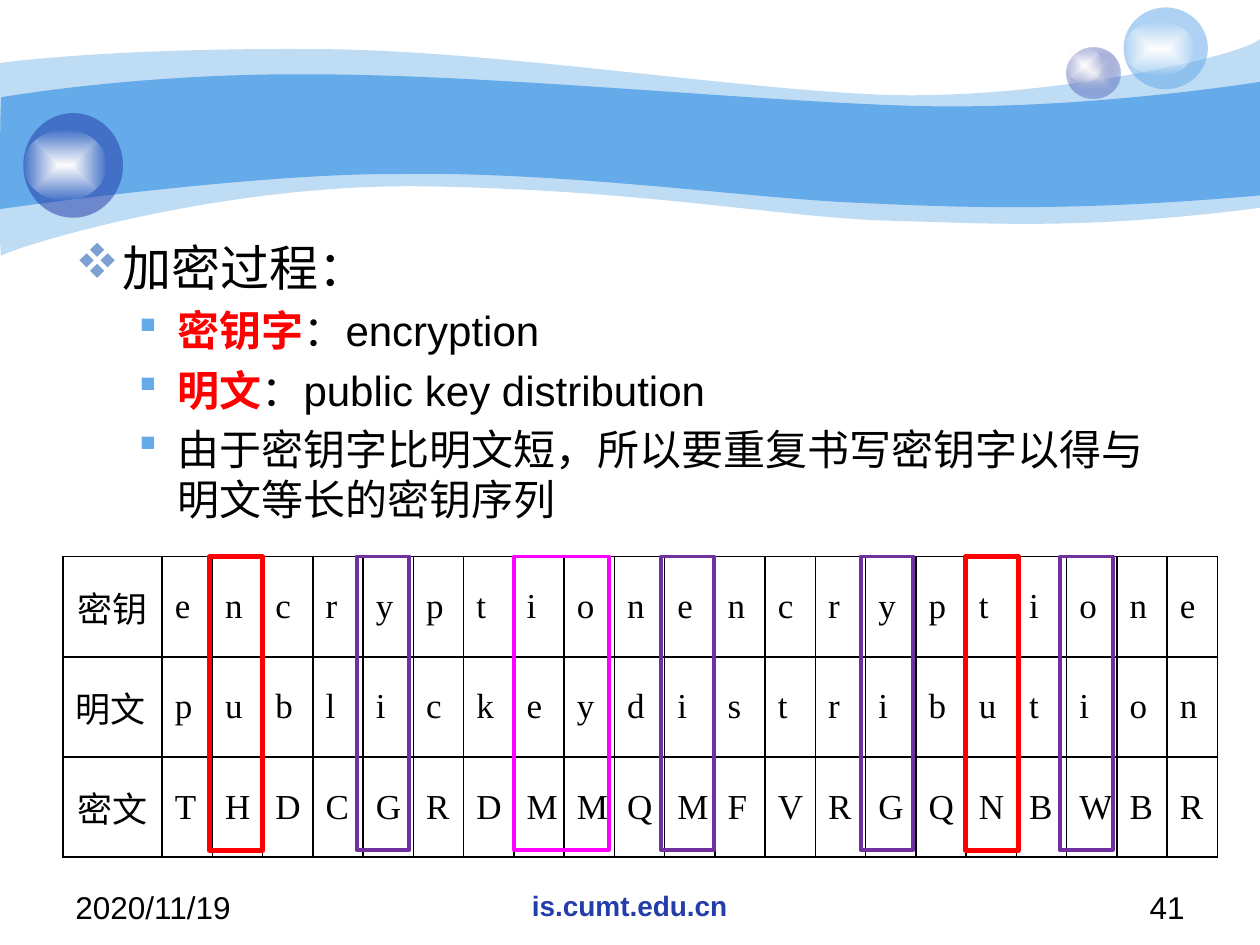
"""Build the slide on the running-key encryption process."""
import pptx
import pptx.dml.color
import pptx.enum.shapes
import pptx.enum.text
import pptx.oxml
import pptx.oxml.ns
import pptx.util

Cm = pptx.util.Cm
Pt = pptx.util.Pt
RGBColor = pptx.dml.color.RGBColor
Align = pptx.enum.text.PP_ALIGN
Shape = pptx.enum.shapes.MSO_SHAPE

BLACK = RGBColor(0x00, 0x00, 0x00)
WHITE = RGBColor(0xFF, 0xFF, 0xFF)
SKY = RGBColor(0x65, 0xAA, 0xE9)
NAVY = RGBColor(0x23, 0x3D, 0xA9)
STEEL = RGBColor(0x7D, 0xA0, 0xD3)
MIST = RGBColor(0xE1, 0xE2, 0xED)
RED = RGBColor(0xFF, 0x00, 0x00)
PURPLE = RGBColor(0x70, 0x30, 0xA0)
MAGENTA = RGBColor(0xFF, 0x00, 0xFF)

WAVES = [
    (41, (0, 1.27), [
        [(0.61, 1.19), (2.72, 0.97), (6.27, 0.99)],
        [(9.8, 0.99), (14.61, 1.78), (17.75, 1.91)],
        [(20.88, 2.03), (24.89, 1.19), (25.4, 0.79)],
        [(25.4, 4.19)],
        [(21.79, 4.65), (19.99, 4.5), (17.91, 4.45)],
        [(15.8, 4.39), (13.08, 3.84), (8.71, 3.76)],
        [(4.37, 3.66), (0.1, 5.05), (0.03, 5.16)],
        [(-0.03, 5.28), (0, 1.91), (0, 1.27)]]),
    (100, (0.03, 1.96), [
        [(0.05, 1.96), (2.79, 1.47), (6.3, 1.5)],
        [(9.8, 1.5), (15.11, 2.03), (18.24, 2.13)],
        [(21.36, 2.24), (24.79, 1.75), (25.4, 1.65)],
        [(25.4, 3.94)],
        [(21.67, 4.27), (19.43, 4.19), (17.32, 4.09)],
        [(15.19, 4.01), (11.35, 3.45), (8.05, 3.51)],
        [(5.16, 3.48), (-0.05, 4.22), (-0.03, 4.22)],
        [(0, 4.22), (0, 1.96), (0.03, 1.96)]]),
]
GLOSS = [(WHITE, 100), (WHITE, 0)]
BUBBLES = [
    ((21.51, 0.97, 1.07, 1.02), [(MIST, 100), (NAVY, 31)], (21.51, 0.97, 0.71, 0.69)),
    ((22.65, 0.15, 1.7, 1.65), [(SKY, 53)], (22.65, 0.43, 1.42, 1.09)),
    ((0.47, 2.28, 2.01, 2.11), [(NAVY, 53)], (0.47, 2.62, 1.68, 1.42)),
]
BODY = [
    (0, [("加密过程：", BLACK, False)]),
    (1, [("密钥字", RED, True), ("：encryption", BLACK, False)]),
    (1, [("明文", RED, True), ("：public key distribution", BLACK, False)]),
    (1, [("由于密钥字比明文短，所以要重复书写密钥字以得与明文等长的密钥序列", BLACK, False)]),
]
LEVELS = [
    dict(size=28, margin=0.95, indent=-0.95, bullet=("v", STEEL)),
    dict(size=24, margin=2.06, indent=-0.79, bullet=("§", SKY)),
]
FOOTERS = [
    ("2020/11/19", 1.27, 5.92, dict(size=18)),
    ("is.cumt.edu.cn", 8.67, 8.05, dict(size=16, color=NAVY, bold=True, align=Align.CENTER)),
    ("41", 18.21, 5.92, dict(size=18, align=Align.RIGHT)),
]
CIPHER_ROWS = [
    ("密钥", Align.CENTER, "encryptionencryptione"),
    ("明文", Align.LEFT, "publickeydistribution"),
    ("密文", Align.CENTER, "THDCGRDMMQMFVRGQNBWBR"),
]
TABLE_TOP, TABLE_WIDTH, LABEL_WIDTH, ROW_HEIGHT = 11.22, 23.29, 2, 2.02
MARKERS = [
    (RED, 3, 1.06, [4.23, 19.47]),
    (PURPLE, 2.25, 1.06, [17.35, 13.33, 7.19, 21.37]),
    (MAGENTA, 2.25, 1.9, [10.37]),
]


def element(xml):
    """Parse a fragment in the drawing namespace."""
    return pptx.oxml.parse_xml(xml.replace(">", f" {pptx.oxml.ns.nsdecls('a')}>", 1))


def solid_xml(color, opacity=100):
    """Return a solid fill."""
    alpha = f'<a:alpha val="{opacity * 1000}"/>' if opacity < 100 else ""
    return f'<a:solidFill><a:srgbClr val="{color}">{alpha}</a:srgbClr></a:solidFill>'


def paint(shape, stops):
    """Fill a lineless shape with one colour or a gradient from its centre."""
    shape.shadow.inherit = False
    shape.line.fill.background()
    if len(stops) == 1:
        xml = solid_xml(*stops[0])
    else:
        marks = "".join(
            f'<a:gs pos="{position}"><a:srgbClr val="{color}"><a:alpha val="{opacity * 1000}"/></a:srgbClr></a:gs>'
            for position, (color, opacity) in zip((0, 100000), stops))
        xml = (f'<a:gradFill><a:gsLst>{marks}</a:gsLst><a:path path="shape">'
               '<a:fillToRect l="50000" t="50000" r="50000" b="50000"/></a:path></a:gradFill>')
    shape.fill.background()
    properties = shape.fill._xPr
    properties.replace(properties.find(pptx.oxml.ns.qn("a:noFill")), element(xml))


def write(paragraph, runs, *, size, font="Arial", color=BLACK, bold=False,
          align=Align.LEFT, margin=0, indent=0, bullet=None, before=0):
    """Write a string or a list of (text, colour, bold) runs."""
    properties = paragraph._p.get_or_add_pPr()
    properties.set("marL", str(Cm(margin)))
    properties.set("indent", str(Cm(indent)))
    if bullet:
        mark, mark_color = bullet
        for xml in (f'<a:buClr><a:srgbClr val="{mark_color}"/></a:buClr>',
                    '<a:buFont typeface="Wingdings" charset="2"></a:buFont>',
                    f'<a:buChar char="{mark}"></a:buChar>'):
            properties.append(element(xml))
    paragraph.alignment = align
    paragraph.space_before = Pt(before)
    for text, run_color, run_bold in [(runs, color, bold)] if isinstance(runs, str) else runs:
        run = paragraph.add_run()
        run.text = text
        run.font.name, run.font.size, run.font.bold = font, Pt(size), run_bold
        run.font.color.rgb = run_color


def text_frame(slide, *box):
    """Add a wrapping text box and return its frame."""
    frame = slide.shapes.add_textbox(*map(Cm, box)).text_frame
    frame.word_wrap = True
    return frame


def add_wave(slide, opacity, start, segments):
    """Build an outline through the anchors, then bend its curved sides."""
    builder = slide.shapes.build_freeform(*map(Cm, start))
    builder.add_line_segments([tuple(map(Cm, segment[-1])) for segment in segments], close=True)
    wave = builder.convert_to_shape()
    sides = list(wave._element.iter(pptx.oxml.ns.qn("a:lnTo")))
    for side, segment in zip(sides, segments):
        if len(segment) == 3:
            points = "".join(f'<a:pt x="{Cm(x) - wave.left}" y="{Cm(y) - wave.top}"/>' for x, y in segment)
            side.getparent().replace(side, element(f"<a:cubicBezTo>{points}</a:cubicBezTo>"))
    paint(wave, [(SKY, opacity)])


def add_background(slide):
    """Draw the waves and the bubbles."""
    for wave in WAVES:
        add_wave(slide, *wave)
    for ball, stops, gloss in BUBBLES:
        group = slide.shapes.add_group_shape()
        for box, fill in ((ball, stops), (gloss, GLOSS)):
            paint(group.shapes.add_shape(Shape.OVAL, *map(Cm, box)), fill)


def add_cipher_table(slide):
    """Add the table of key, plain text and cipher text."""
    letters = len(CIPHER_ROWS[0][2])
    table = slide.shapes.add_table(
        len(CIPHER_ROWS), letters + 1, Cm(1.27), Cm(TABLE_TOP),
        Cm(TABLE_WIDTH), Cm(ROW_HEIGHT * len(CIPHER_ROWS))).table
    table.first_row = table.horz_banding = False
    for index, column in enumerate(table.columns):
        column.width = Cm((TABLE_WIDTH - LABEL_WIDTH) / letters if index else LABEL_WIDTH)
    for row, (label, align, text) in enumerate(CIPHER_ROWS):
        table.rows[row].height = Cm(ROW_HEIGHT)
        for column, content in enumerate([label, *text]):
            cell = table.cell(row, column)
            cell.vertical_anchor = pptx.enum.text.MSO_ANCHOR.MIDDLE
            look = dict(font="Times New Roman") if column else dict(font="Noto Sans CJK SC", align=align)
            write(cell.text_frame.paragraphs[0], content, size=20, margin=0.95, indent=-0.95, **look)
            properties = cell._tc.get_or_add_tcPr()
            for side in ("lnL", "lnR", "lnT", "lnB"):
                properties.append(element(f'<a:{side} w="{Pt(1)}">{solid_xml(BLACK)}</a:{side}>'))
            cell.fill.background()


def main():
    """Build and save the slide."""
    presentation = pptx.Presentation()
    presentation.slide_width, presentation.slide_height = Cm(25.4), Cm(19.05)
    slide = presentation.slides.add_slide(presentation.slide_layouts[6])
    add_background(slide)
    frame = text_frame(slide, 1.27, 4.66, 22.86, 12.9)
    for index, (level, runs) in enumerate(BODY):
        paragraph = frame.add_paragraph() if index else frame.paragraphs[0]
        paragraph.level = level
        write(paragraph, runs, before=5 if index else 0, **LEVELS[level])
    for text, left, width, look in FOOTERS:
        write(text_frame(slide, left, 17.78, width, 0.89).paragraphs[0], text, **look)
    add_cipher_table(slide)
    for color, weight, width, lefts in MARKERS:
        for left in lefts:
            marker = slide.shapes.add_shape(Shape.RECTANGLE, Cm(left), Cm(TABLE_TOP), Cm(width), Cm(5.92))
            marker.shadow.inherit = False
            marker.fill.background()
            marker.line.color.rgb, marker.line.width = color, Pt(weight)
    presentation.save("out.pptx")


if __name__ == "__main__":
    main()
